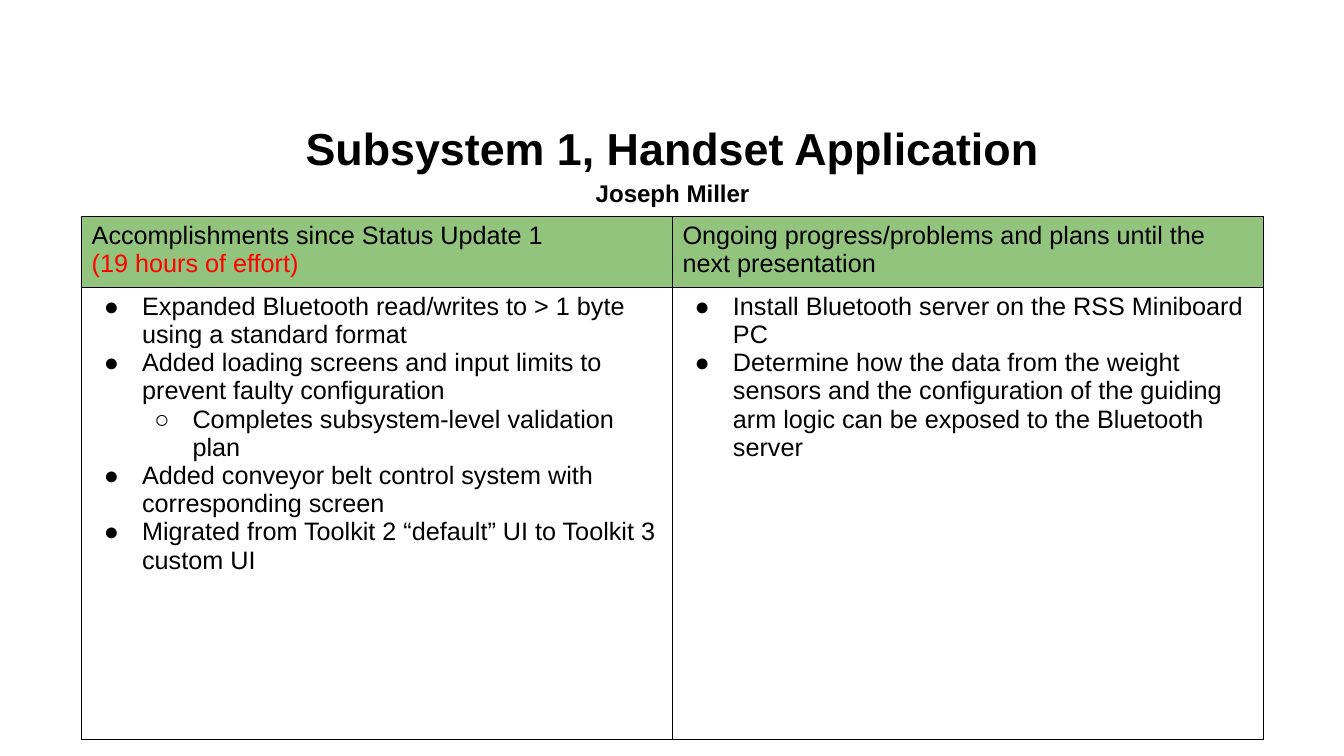
from lxml import etree
from pptx import Presentation
from pptx import util as u
from pptx.dml.color import RGBColor
from pptx.enum import text
from pptx.oxml import ns

PX = 9144  # 100 px to the inch
BLACK = RGBColor(0, 0, 0)
RED = RGBColor(255, 0, 0)
GREEN = RGBColor(0x93, 0xC4, 0x7D)


def put(par, words, size=18, color=BLACK, bold=False):
    run = par.add_run()
    run.text = words
    look = {"name": "Arial", "size": u.Pt(size), "bold": bold}
    for key, value in look.items():
        setattr(run.font, key, value)
    run.font.color.rgb = color


def add(node, tag, **attrs):
    return etree.SubElement(node, ns.qn("a:" + tag), attrs)


deck = Presentation()
deck.slide_width, deck.slide_height = 1333 * PX, 750 * PX
slide = deck.slides.add_slide(deck.slide_layouts[6])

# Title and speaker
box = slide.shapes.add_textbox(217 * PX, 115 * PX, 900 * PX, 88 * PX)
frame = box.text_frame
frame.word_wrap = True
frame.vertical_anchor = text.MSO_ANCHOR.MIDDLE
heads = [("Subsystem 1, Handset Application", 32), ("Joseph Miller", 17.2)]
for i, (words, size) in enumerate(heads):
    par = frame.add_paragraph() if i else frame.paragraphs[0]
    par.alignment = text.PP_ALIGN.CENTER
    par.line_spacing = 1.15
    put(par, words, size, bold=True)

# Table content: header lines with colour, body lines with level
tops = [
    [("Accomplishments since Status Update 1", BLACK),
     ("(19 hours of effort)", RED)],
    [("Ongoing progress/problems and plans until the next presentation", BLACK)],
]
lists = [
    [("Expanded Bluetooth read/writes to > 1 byte using a standard format", 0),
     ("Added loading screens and input limits to prevent faulty configuration", 0),
     ("Completes subsystem-level validation plan", 1),
     ("Added conveyor belt control system with corresponding screen", 0),
     ("Migrated from Toolkit 2 “default” UI to Toolkit 3 custom UI", 0)],
    [("Install Bluetooth server on the RSS Miniboard PC", 0),
     ("Determine how the data from the weight sensors and the configuration "
      "of the guiding arm logic can be exposed to the Bluetooth server", 0)],
]

# Table frame
table = slide.shapes.add_table(
    2, 2, 81 * PX, 215 * PX, 1172 * PX, 517 * PX).table
table.first_row = table.horz_banding = False
for row, high in zip(table.rows, (68, 449)):
    row.height = high * PX

# Cells
for r, group in enumerate((tops, lists)):
    for c, lines in enumerate(group):
        cell = table.cell(r, c)
        for i, (words, mark) in enumerate(lines):
            frame = cell.text_frame
            par = frame.add_paragraph() if i else frame.paragraphs[0]
            if r == 0:
                put(par, words, color=mark)
                continue
            par.level = mark
            props = par._p.get_or_add_pPr()
            props.set("marL", str((50 + 50 * mark) * PX))
            props.set("indent", str(-38 * PX))
            add(add(props, "buClr"), "srgbClr", val=str(BLACK))
            add(props, "buFont", typeface="Arial")
            add(props, "buChar", char="●○"[mark])
            put(par, words)

        # Borders come before the fill
        props = cell._tc.get_or_add_tcPr()
        for side in "LRTB":
            line = add(props, "ln" + side, w=str(u.Pt(1)))
            add(add(line, "solidFill"), "srgbClr", val=str(BLACK))
        if r == 0:
            cell.fill.solid()
            cell.fill.fore_color.rgb = GREEN
        else:
            cell.fill.background()

deck.save("out.pptx")
